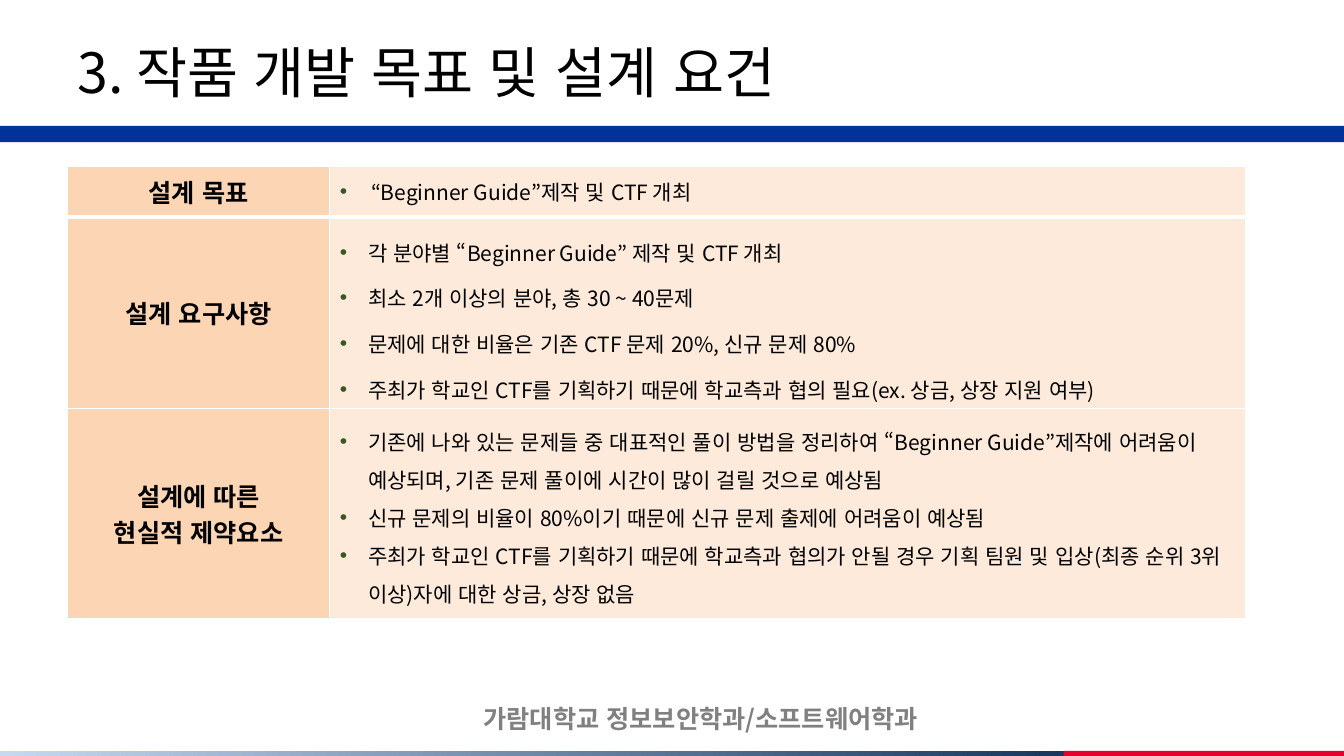
from lxml import etree
from pptx import Presentation
from pptx.dml.color import RGBColor
from pptx.enum import lang, shapes, text
from pptx.oxml import ns
from pptx.util import Inches, Pt

FONT = "Noto Sans CJK KR"
BLACK = RGBColor(0, 0, 0)
GREY = RGBColor(0x80, 0x80, 0x80)
BLUE = RGBColor(0x00, 0x33, 0x99)
RED = RGBColor(0xE6, 0x00, 0x2D)
PALE = RGBColor(0xC6, 0xD9, 0xF1)
NAVY = RGBColor(0x17, 0x37, 0x5E)
PEACH = RGBColor(0xFC, 0xD5, 0xB5)
CREAM = RGBColor(0xFD, 0xEA, 0xDA)
WHITE = RGBColor(0xFF, 0xFF, 0xFF)
GREEN = RGBColor(0x38, 0x57, 0x24)

TITLE = "3. 작품 개발 목표 및 설계 요건"
FOOTER = "가람대학교 정보보안학과/소프트웨어학과"
ROWS = [
    (0.5, 1, 0.31, ["설계 목표"], ["“Beginner Guide”제작 및 CTF 개최"]),
    (1.9, 1.5, 0.28, ["설계 요구사항"], [
        "각 분야별 “Beginner Guide” 제작 및 CTF 개최",
        "최소 2개 이상의 분야, 총 30 ~ 40문제",
        "문제에 대한 비율은 기존 CTF 문제 20%, 신규 문제 80%",
        "주최가 학교인 CTF를 기획하기 때문에 학교측과 협의 필요(ex. 상금, 상장 지원 여부)",
    ]),
    (2.09, 1.25, 0.28, ["설계에 따른", "현실적 제약요소"], [
        "기존에 나와 있는 문제들 중 대표적인 풀이 방법을 정리하여 “Beginner Guide”제작에 "
        "어려움이 예상되며, 기존 문제 풀이에 시간이 많이 걸릴 것으로 예상됨",
        "신규 문제의 비율이 80%이기 때문에 신규 문제 출제에 어려움이 예상됨",
        "주최가 학교인 CTF를 기획하기 때문에 학교측과 협의가 안될 경우 기획 팀원 및 "
        "입상(최종 순위 3위 이상)자에 대한 상금, 상장 없음",
    ]),
]
COLS = [2.6, 9.08]


def add(node, tag, **attrs):
    return etree.SubElement(node, ns.qn(tag), **attrs)


def style(frame, size, color, bold, align):
    for para in frame.paragraphs:
        para.alignment = align
        for run in para.runs:
            font = run.font
            font.size, font.bold, font.name = Pt(size), bold, FONT
            font.language_id = lang.MSO_LANGUAGE_ID.KOREAN
            font.color.rgb = color
            props = run._r.get_or_add_rPr()
            props.set("kern", "0")
            add(props, "a:ea", typeface=FONT)


def bar(left, top, width, height, color):
    box = slide.shapes.add_shape(shapes.MSO_SHAPE.RECTANGLE, Inches(left),
                                 Inches(top), Inches(width), Inches(height))
    box.shadow.inherit = False
    box.line.fill.background()
    box.fill.solid()
    box.fill.fore_color.rgb = color
    return box


def bullet(para, indent, space):
    para.line_spacing = space
    props = para._p.get_or_add_pPr()
    props.set("marL", str(Inches(indent)))
    props.set("indent", str(-Inches(indent)))
    add(add(props, "a:buClr"), "a:srgbClr", val=str(GREEN))
    add(props, "a:buFont", typeface="Arial")
    add(props, "a:buChar", char="•")


def border(cell, widths):
    props = cell._tc.get_or_add_tcPr()
    for spot, (side, width) in enumerate(zip("LRTB", widths)):
        line = add(props, "a:ln" + side, w=str(Pt(width)))
        add(add(line, "a:solidFill"), "a:srgbClr", val=str(WHITE))
        props.insert(spot, line)


deck = Presentation()
deck.slide_width, deck.slide_height = Inches(13.33), Inches(7.5)
slide = deck.slides.add_slide(deck.slide_layouts[5])

bar(0, 1.25, 13.33, 0.16, BLUE)
fade = bar(0, 7.45, 10.55, 0.05, PALE).fill
fade.gradient()
fade.gradient_angle = 0
for stop, color in zip(fade.gradient_stops, (PALE, NAVY)):
    stop.color.rgb = color
bar(10.55, 7.45, 2.78, 0.05, RED)

title = slide.shapes.title
title.left, title.top = Inches(0.67), Inches(0.3)
title.width, title.height = Inches(12), Inches(0.81)
frame = title.text_frame
frame.text = TITLE
frame.auto_size = text.MSO_AUTO_SIZE.NONE
frame.vertical_anchor = text.MSO_ANCHOR.MIDDLE
style(frame, 39.6, BLACK, False, text.PP_ALIGN.LEFT)

foot = slide.shapes.add_textbox(Inches(4.03), Inches(6.93), Inches(5.84), Inches(0.4))
foot.text_frame.word_wrap = True
foot.text_frame.text = FOOTER
style(foot.text_frame, 18, GREY, True, text.PP_ALIGN.CENTER)

grid = slide.shapes.add_table(len(ROWS), len(COLS), Inches(0.67), Inches(1.65),
                              Inches(sum(COLS)), Inches(sum(r[0] for r in ROWS))).table
for col, width in zip(grid.columns, COLS):
    col.width = Inches(width)
for row, (height, space, indent, heads, points) in enumerate(ROWS):
    grid.rows[row].height = Inches(height)
    top, base = (3 if row == 1 else 1), (3 if row == 0 else 1)
    for col, lines in enumerate((heads, points)):
        cell = grid.cell(row, col)
        cell.vertical_anchor = text.MSO_ANCHOR.MIDDLE
        cell.fill.solid()
        cell.fill.fore_color.rgb = (PEACH, CREAM)[col]
        border(cell, (1, 1, top, base))
        frame = cell.text_frame
        frame.text = "\n".join(lines)
        if col:
            style(frame, 15, BLACK, False, text.PP_ALIGN.LEFT)
            for para in frame.paragraphs:
                bullet(para, indent, space)
        else:
            style(frame, 18, BLACK, True, text.PP_ALIGN.CENTER)

deck.save("out.pptx")
